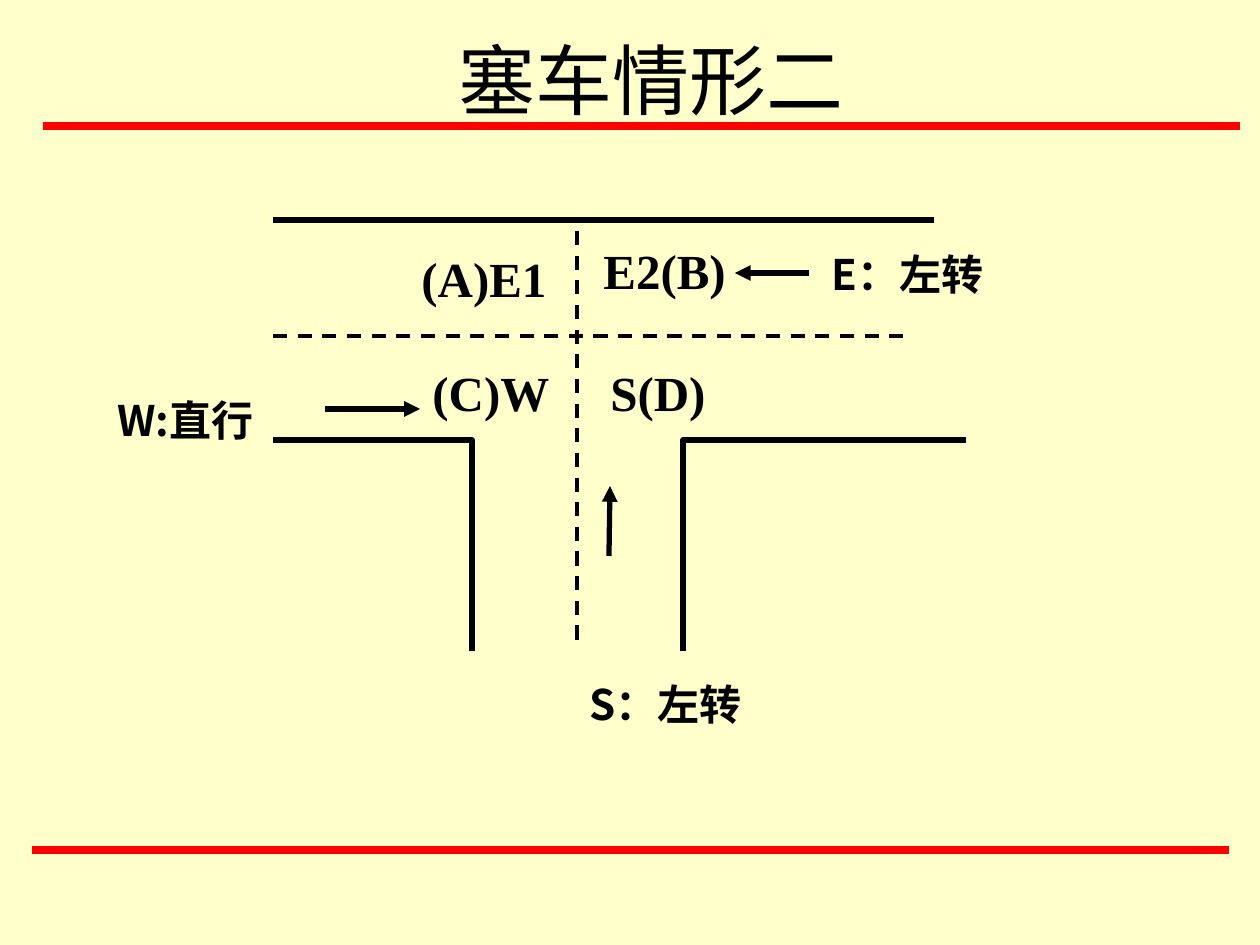
from pptx import Presentation
from pptx.dml.color import RGBColor
from pptx.enum.dml import MSO_LINE
from pptx.enum.shapes import MSO_CONNECTOR
from pptx.enum.text import MSO_ANCHOR, MSO_AUTO_SIZE, PP_ALIGN
from pptx.oxml.ns import qn
from pptx.util import Pt
from lxml.etree import SubElement

SCALE = 914400 / 126  # EMU in one px
LATIN, CJK = "Times New Roman", "Noto Sans CJK SC"
BLACK, RED, CREAM = "000000", "FF0000", "FFFFCC"


def px(length):
    return round(length * SCALE)


def color(value):
    return RGBColor.from_string(value)


def write(frame, text, size=28, font=LATIN, bold=True, align=PP_ALIGN.LEFT,
          anchor=MSO_ANCHOR.TOP, before=0, fit=MSO_AUTO_SIZE.SHAPE_TO_FIT_TEXT):
    frame.word_wrap = True
    frame.auto_size = fit
    frame.vertical_anchor = anchor
    para = frame.paragraphs[0]
    para.alignment = align
    para.space_before = Pt(before)
    span = para.add_run()
    span.text = text
    span.font.size, span.font.bold, span.font.name = Pt(size), bold, font
    span.font.color.rgb = color(BLACK)
    SubElement(span.font._element, qn("a:ea")).set("typeface", CJK)


def label(page, text, left, top, width, height, **style):
    box = page.shapes.add_textbox(px(left), px(top), px(width), px(height))
    write(box.text_frame, text, **style)


def line(page, x1, y1, x2, y2, stroke=BLACK, weight=3, dashed=False, arrow=False):
    rule = page.shapes.add_connector(
        MSO_CONNECTOR.STRAIGHT, px(x1), px(y1), px(x2), px(y2))
    rule.line.color.rgb = color(stroke)
    rule.line.width = Pt(weight)
    if dashed:
        rule.line.dash_style = MSO_LINE.DASH
    if arrow:
        SubElement(rule.line._get_or_add_ln(), qn("a:tailEnd")).set("type", "triangle")
    SubElement(rule._element.spPr, qn("a:effectLst"))


def curb(page, *points):
    start, *rest = [(px(x), px(y)) for x, y in points]
    builder = page.shapes.build_freeform(*start)
    builder.add_line_segments(rest, close=False)
    corner = builder.convert_to_shape()
    corner.shadow.inherit = False
    corner.fill.background()
    corner.line.color.rgb = color(BLACK)
    corner.line.width = Pt(3)


def heading(page, text, left, top, width, height):
    title = page.shapes.title
    title.left, title.top = px(left), px(top)
    title.width, title.height = px(width), px(height)
    write(title.text_frame, text, size=44, bold=False, align=PP_ALIGN.CENTER,
          anchor=MSO_ANCHOR.MIDDLE, fit=MSO_AUTO_SIZE.NONE)


def junction(page, left, top, width, height):
    """T-junction: an east-west road with a side road to the south."""
    right, bottom = left + width, top + height
    south_edge, middle = top + 220, left + 304

    # Road edges
    line(page, left, top, right - 32, top)
    curb(page, (left, south_edge), (left + 199, south_edge), (left + 199, bottom))
    curb(page, (right, south_edge), (right - 283, south_edge), (right - 283, bottom))

    # Centre lines
    line(page, left, top + 116, right - 53, top + 116, weight=2, dashed=True)
    line(page, middle, top + 11, middle, bottom - 11, weight=2, dashed=True)

    # The four cells of the crossing
    for text, dx, dy, cell_width in (("(A)E1", 136, 22, 158), ("E2(B)", 318, 14, 155),
                                     ("(C)W", 147, 136, 168), ("S(D)", 325, 136, 126)):
        label(page, text, left + dx, top + dy, cell_width, 72, before=17.5)

    # Approaching traffic
    for x1, y1, x2, y2 in ((52, 189, 147, 189), (536, 53, 462, 53), (336, 336, 337, 266)):
        line(page, left + x1, top + y1, left + x2, top + y2, arrow=True)
    for text, dx, dy, note_width, note_height in (("W:直行", -168, 168, 168, 63),
                                                  ("E：左转", 546, 22, 189, 63),
                                                  ("S：左转", 304, 452, 179, 113)):
        label(page, text, left + dx, top + dy, note_width, note_height,
              size=24, font=CJK, before=15)


def main():
    deck = Presentation()
    deck.slide_width, deck.slide_height = px(1260), px(945)
    page = deck.slides.add_slide(deck.slide_layouts[5])
    page.background.fill.solid()
    page.background.fill.fore_color.rgb = color(CREAM)

    # Red rules above and below the diagram
    for left, y in ((32, 850), (43, 126)):
        line(page, left, y, left + 1197, y, stroke=RED, weight=4.5)

    heading(page, "塞车情形二", 116, 0, 1071, 158)
    junction(page, 273, 220, 693, 431)
    deck.save("out.pptx")


if __name__ == "__main__":
    main()
